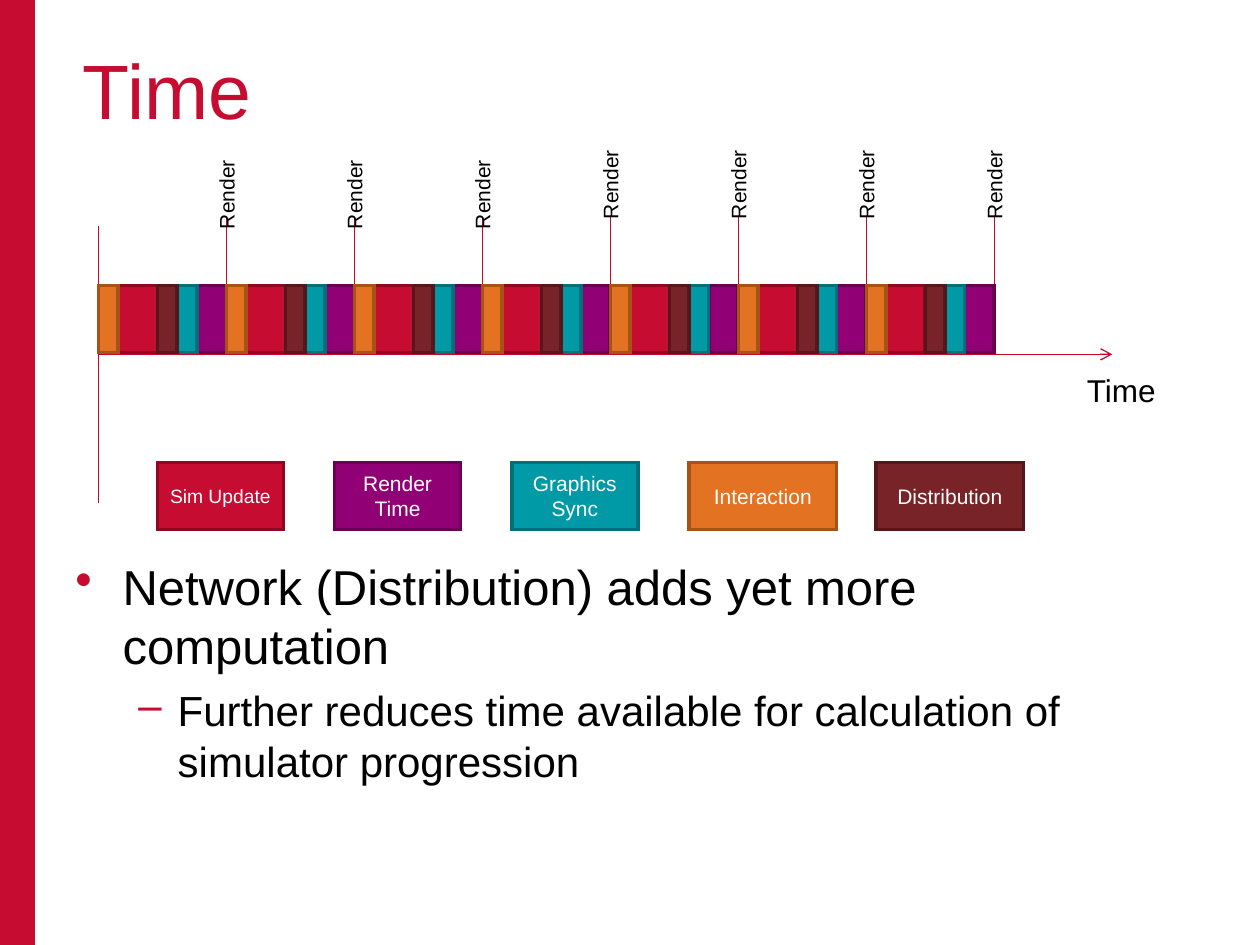
import pptx
import pptx.util
import pptx.dml.color
import pptx.enum.shapes
import pptx.enum.text
import pptx.oxml
import pptx.oxml.ns
import lxml.etree

Pt = pptx.util.Pt
RGBColor = pptx.dml.color.RGBColor
PP_ALIGN = pptx.enum.text.PP_ALIGN
MSO_ANCHOR = pptx.enum.text.MSO_ANCHOR
GROW = pptx.enum.text.MSO_AUTO_SIZE.SHAPE_TO_FIT_TEXT
qn = pptx.oxml.ns.qn

RED = RGBColor(0xC6, 0x0C, 0x30)
DARK_RED = RGBColor(0x91, 0x06, 0x20)
AXIS_RED = RGBColor(0xC6, 0x07, 0x2C)
PURPLE = RGBColor(0x92, 0x00, 0x75)
DARK_PURPLE = RGBColor(0x6A, 0x00, 0x54)
TEAL = RGBColor(0x00, 0x9A, 0xA6)
DARK_TEAL = RGBColor(0x00, 0x70, 0x79)
ORANGE = RGBColor(0xE3, 0x72, 0x22)
DARK_ORANGE = RGBColor(0xA7, 0x52, 0x16)
BROWN = RGBColor(0x78, 0x23, 0x27)
DARK_BROWN = RGBColor(0x56, 0x17, 0x1A)
BLACK = RGBColor(0, 0, 0)
WHITE = RGBColor(0xFF, 0xFF, 0xFF)

prs = pptx.Presentation()
prs.slide_width, prs.slide_height = Pt(720), Pt(540)
s = prs.slides.add_slide(prs.slide_layouts[6])


def add_text(sp, lines, size, color, align=PP_ALIGN.LEFT, **frame):
    """Write one paragraph per line into a shape and return the paragraphs."""
    tf = sp.text_frame
    for name, value in {"word_wrap": True, **frame}.items():
        setattr(tf, name, value)
    tf.text = "\n".join(lines)
    for p in tf.paragraphs:
        p.alignment = align
        for name, value in {"size": Pt(size), "name": "Arial"}.items():
            setattr(p.runs[0].font, name, value)
        p.runs[0].font.color.rgb = color
    return tf.paragraphs


def add_rect(x, y, w, h, fill, border=None):
    """Draw a flat rectangle, with a 2 pt border when a colour is given."""
    sp = s.shapes.add_shape(pptx.enum.shapes.MSO_SHAPE.RECTANGLE,
                            Pt(x), Pt(y), Pt(w), Pt(h))
    sp.shadow.inherit = False
    sp.fill.solid()
    sp.fill.fore_color.rgb = fill
    if border is None:
        sp.line.fill.background()
    else:
        sp.line.color.rgb = border
        sp.line.width = Pt(2)
        lxml.etree.SubElement(sp.line._get_or_add_ln(), qn("a:miter")).set("lim", "800000")
    return sp


# Side band and title
add_rect(0, 0, 20, 540, RED)
sp = s.shapes.add_textbox(Pt(40.3), Pt(20.9), Pt(643.7), Pt(116))
add_text(sp, ["Time"], 44, RED)

# Bulleted text
sp = s.shapes.add_textbox(Pt(36), Pt(314.6), Pt(648), Pt(181.4))
paragraphs = add_text(sp, [
    "Network (Distribution) adds yet more computation",
    "Further reduces time available for calculation of simulator progression",
], 28, BLACK)
bullets = [("•", 28, 7, 27, -27), ("–", 24, 6, 58.5, -22.5)]
for level, (p, (char, size, before, margin, indent)) in enumerate(zip(paragraphs, bullets)):
    p.level = level
    p.space_before = Pt(before)
    p.runs[0].font.size = Pt(size)
    pPr = p._p.get_or_add_pPr()
    pPr.set("marL", str(Pt(margin)))
    pPr.set("indent", str(Pt(indent)))
    buClr = lxml.etree.SubElement(pPr, qn("a:buClr"))
    lxml.etree.SubElement(buClr, qn("a:srgbClr")).set("val", str(RED))
    lxml.etree.SubElement(pPr, qn("a:buChar")).set("char", char)

# Timeline geometry: each frame is one full cycle of phases
START, FRAME, FRAMES = 56.25, 73.125, 7
BAR_TOP, BAR_HEIGHT, AXIS_Y = 163.1, 38.25, 202.5
AXIS_END = 635.6
frame_ends = [START + FRAME * (i + 1) for i in range(FRAMES)]

# Start line, time axis and render ticks
lines = [(START, 129.4, START, 287.2), (START, AXIS_Y, AXIS_END, AXIS_Y)]
lines += [(x, 123.75, x, AXIS_Y) for x in frame_ends]
for x1, y1, x2, y2 in lines:
    line = s.shapes.add_connector(pptx.enum.shapes.MSO_CONNECTOR.STRAIGHT,
                                  Pt(x1), Pt(y1), Pt(x2), Pt(y2))
    line.line.color.rgb = AXIS_RED
    line.line.width = Pt(0.75)
    if x2 == AXIS_END:
        tail = lxml.etree.SubElement(line.line._get_or_add_ln(), qn("a:tailEnd"))
        tail.set("type", "arrow")
    lxml.etree.SubElement(line._element.spPr, qn("a:effectLst"))

# Axis and tick labels
sp = s.shapes.add_textbox(Pt(614), Pt(208.3), Pt(54), Pt(29))
add_text(sp, ["Time"], 18, BLACK, word_wrap=False, auto_size=GROW)
for i, x in enumerate(frame_ends):
    center_y = 111 if i < 3 else 105.3
    sp = s.shapes.add_textbox(Pt(x - 27), Pt(center_y - 10.9), Pt(54), Pt(21.8))
    sp.rotation = 270
    add_text(sp, ["Render"], 12, BLACK, word_wrap=False, auto_size=GROW)

# Phases of each frame: offset, width, fill, border
phases = [
    (11.25, 22.5, RED, DARK_RED),
    (56.25, 16.88, PURPLE, DARK_PURPLE),
    (45, 11.25, TEAL, DARK_TEAL),
    (0, 11.25, ORANGE, DARK_ORANGE),
    (33.75, 11.25, BROWN, DARK_BROWN),
]
for i in range(FRAMES):
    for offset, width, fill, border in phases:
        add_rect(START + FRAME * i + offset, BAR_TOP, width, BAR_HEIGHT, fill, border)

# Legend, in the order of the phases
legend = [
    (90, 72, 11, ["Sim Update"]),
    (191.25, 72, 12, ["Render Time"]),
    (292.5, 72, 12, ["Graphics", "Sync"]),
    (393.75, 84.4, 12, ["Interaction"]),
    (500.6, 84.4, 12, ["Distribution"]),
]
for (x, width, size, label), (_, _, fill, border) in zip(legend, phases):
    sp = add_rect(x, 264.3, width, BAR_HEIGHT, fill, border)
    add_text(sp, label, size, WHITE, PP_ALIGN.CENTER,
             vertical_anchor=MSO_ANCHOR.MIDDLE)

prs.save("out.pptx")
